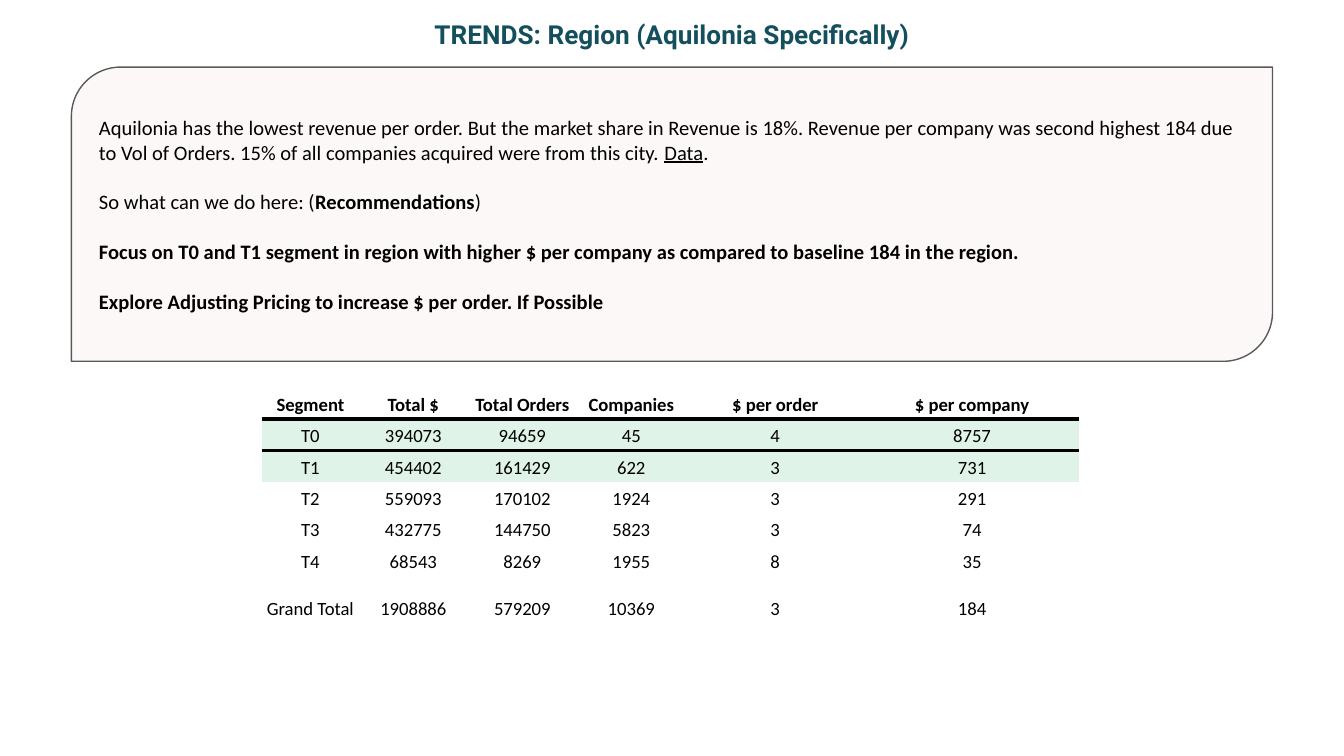
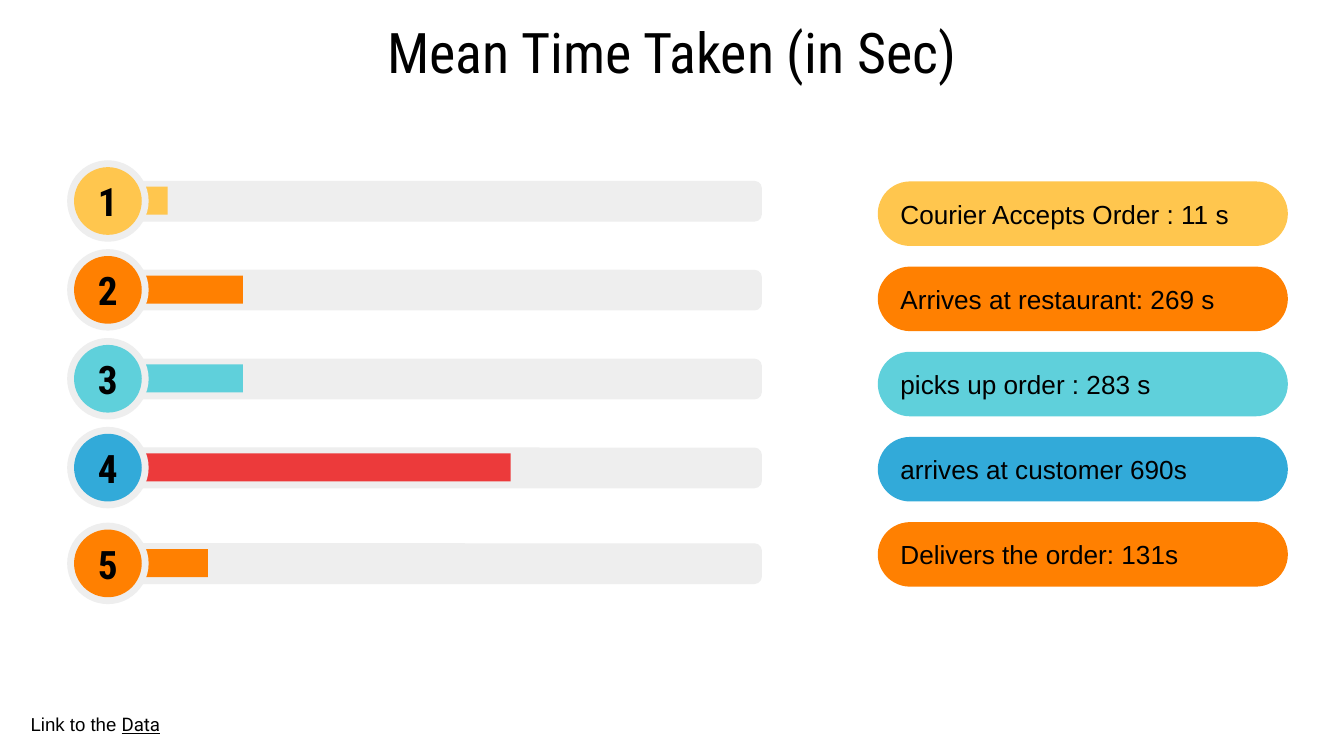
from dataclasses import dataclass

from pptx import Presentation
from pptx import util as u
from pptx.dml.color import RGBColor
from pptx.enum import shapes, text
from pptx.oxml import parse_xml
from pptx.oxml.ns import nsdecls

Cm, Pt = u.Cm, u.Pt
Kind, Align, Anchor = shapes.MSO_SHAPE, text.PP_ALIGN, text.MSO_ANCHOR


@dataclass
class Theme:
    ink: str = "000000"
    white: str = "FFFFFF"
    teal: str = "134F5C"
    card: str = "FDF8F8"
    edge: str = "595959"
    mint: str = "E0F3E9"
    track: str = "EEEEEE"
    gold: str = "FFC64E"
    orange: str = "FF8001"
    aqua: str = "5FD0DB"
    blue: str = "32AAD9"
    red: str = "EC3A3B"
    body: str = "Calibri"
    plain: str = "Arial"
    head: str = "Roboto"
    slim: str = "Roboto Condensed"
    small: float = 10
    note: float = 11
    label: float = 14
    digit: float = 21
    large: float = 30


theme = Theme()


def write(frame, lines, face, size, tint=theme.ink, bold=False,
          align=Align.LEFT, anchor=Anchor.MIDDLE, inset=0.25, gap=0):
    """Each line is a list of (words, marks); marks are b and u."""
    frame.word_wrap = True
    frame.auto_size = text.MSO_AUTO_SIZE.NONE
    frame.vertical_anchor = anchor
    frame.margin_left = frame.margin_right = Cm(inset)
    frame.margin_top = frame.margin_bottom = Cm(inset)
    for i, line in enumerate(lines):
        para = frame.add_paragraph() if i else frame.paragraphs[0]
        para.alignment = align
        para.space_before = Pt(gap if i else 0)
        font = para.font
        font.name, font.size, font.bold = face, Pt(size), bold
        font.color.rgb = RGBColor.from_string(tint)
        for words, marks in line:
            run = para.add_run()
            run.text = words
            if "b" in marks:
                run.font.bold = True
            if "u" in marks:
                run.font.underline = True


def draw(slide, kind, x, y, w, h, fill, line=None):
    shape = slide.shapes.add_shape(kind, Cm(x), Cm(y), Cm(w), Cm(h))
    shape.shadow.inherit = False
    shape.fill.solid()
    shape.fill.fore_color.rgb = RGBColor.from_string(fill)
    if line:
        shape.line.color.rgb = RGBColor.from_string(line)
        shape.line.width = Pt(0.75)
    else:
        shape.line.fill.background()
    return shape


deck = Presentation()
deck.slide_width, deck.slide_height = Cm(25.4), Cm(14.29)
layout = deck.slide_layouts[5]

# Slide 1: title
slide = deck.slides.add_slide(layout)
title = slide.shapes.title
title.left, title.top, title.width, title.height = 0, 0, Cm(25.4), Cm(1.02)
title.fill.solid()
title.fill.fore_color.rgb = RGBColor.from_string(theme.white)
write(title.text_frame, [[("TRENDS: Region (Aquilonia Specifically)", "")]],
      theme.head, theme.label, theme.teal, True, Align.CENTER, Anchor.TOP)
title.text_frame.paragraphs[0].line_spacing = 1.15

# Findings card
card = draw(slide, Kind.ROUND_2_DIAG_RECTANGLE, 1.35, 1.27, 22.7, 5.56,
            theme.card, theme.edge)
card.adjustments[0], card.adjustments[1] = 0.167, 0
write(card.text_frame, [
    [("Aquilonia has the lowest revenue per order. But the market share in "
      "Revenue is 18%. Revenue per company was second highest 184 due to Vol "
      "of Orders. 15% of all companies acquired were from this city. ", ""),
     ("Data", "u"), (".", "")],
    [("So what can we do here: (", ""), ("Recommendations", "b"), (")", "")],
    [("Focus on T0 and T1 segment in region with higher $ per company as "
      "compared to baseline 184 in the region.", "b")],
    [("Explore Adjusting Pricing to increase $ per order. If Possible", "b")],
], theme.body, theme.note, gap=13.4)

# Segment table
rows = [
    ("Segment", "Total $", "Total Orders", "Companies", "$ per order",
     "$ per company"),
    ("T0", 394073, 94659, 45, 4, 8757),
    ("T1", 454402, 161429, 622, 3, 731),
    ("T2", 559093, 170102, 1924, 3, 291),
    ("T3", 432775, 144750, 5823, 3, 74),
    ("T4", 68543, 8269, 1955, 8, 35),
    ("Grand Total", 1908886, 579209, 10369, 3, 184),
]
wide = [1.83, 2.06, 2.06, 2.06, 3.38, 4.06]
tall = [0.99] + [0.56] * 5 + [0.89]
rules = {0: "B", 1: "BT"}
grid = slide.shapes.add_table(len(rows), len(wide), Cm(4.95), Cm(6.93),
                              Cm(sum(wide)), Cm(sum(tall))).table
grid.first_row = grid.horz_banding = False
# Plain table style without grid lines
style = grid._tbl.tblPr.find("{*}tableStyleId")
style.text = "{2D5ABB26-0587-4C30-8999-92F81FD0307C}"
for col, width in zip(grid.columns, wide):
    col.width = Cm(width)
for r, row in enumerate(rows):
    grid.rows[r].height = Cm(tall[r])
    for c, value in enumerate(row):
        cell = grid.cell(r, c)
        cell.margin_left = cell.margin_right = Cm(0.08)
        cell.margin_top = cell.margin_bottom = Cm(0.05)
        cell.vertical_anchor = Anchor.BOTTOM
        if r in (1, 2):
            cell.fill.solid()
            cell.fill.fore_color.rgb = RGBColor.from_string(theme.mint)
        else:
            cell.fill.background()
        para = cell.text_frame.paragraphs[0]
        para.text = str(value)
        para.alignment, para.line_spacing = Align.CENTER, 1.15
        font = para.font
        font.name, font.size, font.bold = theme.body, Pt(theme.small), r == 0
        font.color.rgb = RGBColor.from_string(theme.ink)
        for side in rules.get(r, ""):
            cell._tc.get_or_add_tcPr().insert(0, parse_xml(
                f'<a:ln{side} {nsdecls("a")} w="{Pt(2.25)}"><a:solidFill>'
                f'<a:srgbClr val="{theme.ink}"/></a:solidFill></a:ln{side}>'))

# Slide 2: title
slide = deck.slides.add_slide(layout)
title = slide.shapes.title
title.left, title.top = Cm(1.27), Cm(0.3)
title.width, title.height = Cm(22.86), Cm(1.35)
write(title.text_frame, [[("Mean Time Taken (in Sec)", "")]],
      theme.slim, theme.large, align=Align.CENTER)

# Steps: label, colour, bar colour, bar width, row centre
steps = [
    ("Courier Accepts Order : 11 s", theme.gold, theme.gold, 0.43, 3.8),
    ("Arrives at restaurant: 269 s", theme.orange, theme.orange, 1.85, 5.48),
    ("picks up order : 283 s", theme.aqua, theme.aqua, 1.85, 7.16),
    ("arrives at customer 690s", theme.blue, theme.red, 6.91, 8.84),
    ("Delivers the order: 131s", theme.orange, theme.orange, 1.19, 10.65),
]
for i, (label, tint, bar, width, mid) in enumerate(steps):
    # Track and bar
    track = draw(slide, Kind.ROUNDED_RECTANGLE, 2.06, mid - 0.38, 12.34, 0.77,
                 theme.track)
    track.adjustments[0] = 0.18
    draw(slide, Kind.RECTANGLE, 2.74, mid - 0.27, width, 0.53, bar)
    # Numbered disc in a ring
    for size, fill in ((1.54, theme.track), (1.28, tint)):
        disc = draw(slide, Kind.OVAL, 2.04 - size / 2, mid - size / 2,
                    size, size, fill)
    write(disc.text_frame, [[(str(i + 1), "")]], theme.slim, theme.digit,
          bold=True, align=Align.CENTER, inset=0)
    # Label pill
    pill = draw(slide, Kind.ROUNDED_RECTANGLE, 16.59, 3.43 + 1.61 * i,
                7.75, 1.22, tint)
    pill.adjustments[0] = 0.5
    write(pill.text_frame, [[(label, "")]], theme.plain, theme.label)

# Footer
foot = slide.shapes.add_textbox(Cm(0.33), Cm(13.23), Cm(16.79), Cm(0.94))
write(foot.text_frame, [[("Link to the ", ""), ("Data", "u")]],
      theme.plain, theme.small, anchor=Anchor.TOP)
foot.text_frame.paragraphs[0].runs[1].font.name = theme.head

deck.save("out.pptx")
